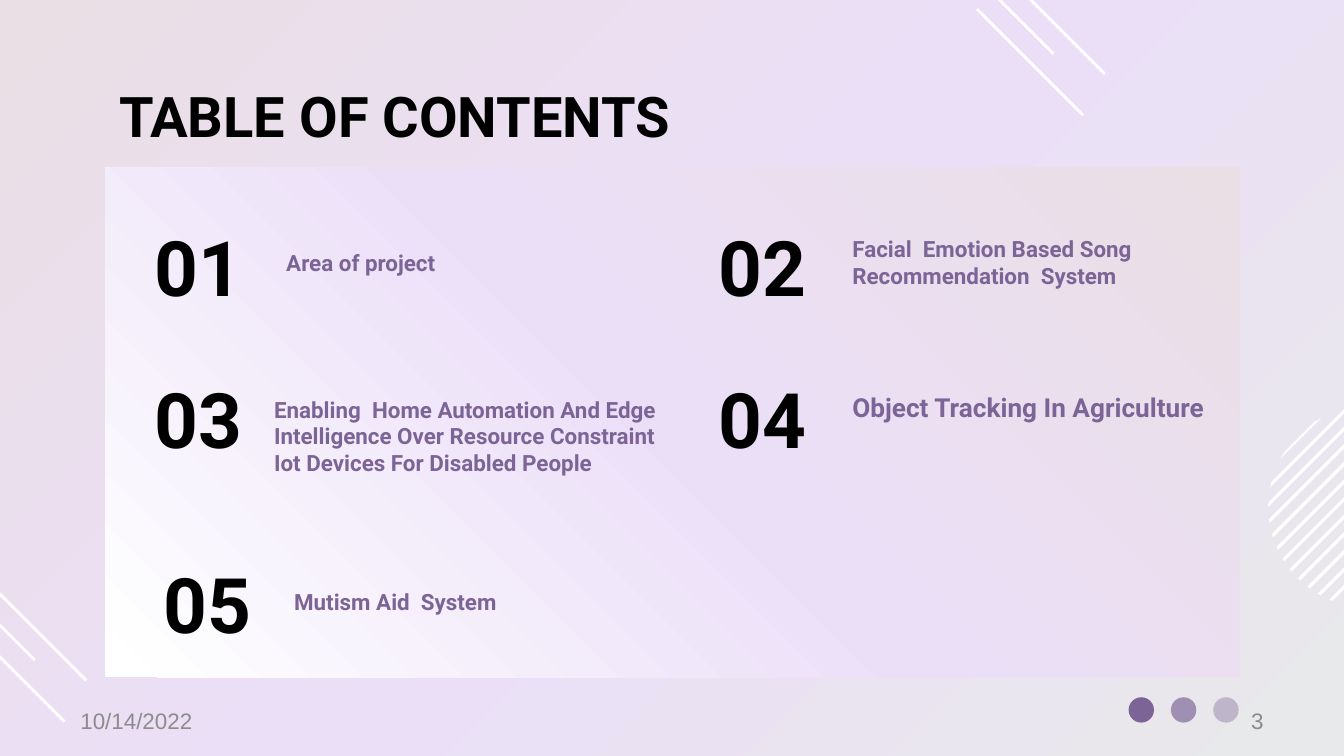
from copy import deepcopy
from math import sqrt

from lxml.etree import SubElement
from pptx import Presentation
from pptx.dml.color import RGBColor
from pptx.enum.shapes import MSO_CONNECTOR as CONNECTOR, MSO_SHAPE as SHAPE
from pptx.enum.text import MSO_ANCHOR as ANCHOR, PP_ALIGN as ALIGN
from pptx.oxml.ns import qn
from pptx.util import Cm, Pt

BLACK = RGBColor(0x00, 0x00, 0x00)
WHITE = RGBColor(0xFF, 0xFF, 0xFF)
PURPLE = RGBColor(0x7C, 0x64, 0x96)
GREY = RGBColor(0x8C, 0x8C, 0x8C)
MIST = RGBColor(0xE8, 0xE9, 0xEA)
LILAC = RGBColor(0xEB, 0xDF, 0xF8)
BLUSH = RGBColor(0xEA, 0xDF, 0xE4)

# Number, its left and top, text, its left and top, text size
CONTENTS = [
    ("01", 2.44, 3.88, "Area of project", 5.16, 4.46, 12),
    ("02", 13.1, 3.88, "Facial  Emotion Based Song Recommendation  System",
     15.86, 4.19, 12),
    ("03", 2.44, 6.76, "Enabling  Home Automation And Edge Intelligence Over "
     "Resource Constraint Iot Devices For Disabled People", 4.93, 7.23, 12),
    ("04", 13.1, 6.76, "Object Tracking In Agriculture", 15.86, 7.14, 14),
    ("05", 2.62, 10.26, "Mutism Aid  System", 5.31, 10.87, 12),
]


def set_all(target, values):
    for name, value in values.items():
        setattr(target, name, value)


class SlideBuilder:
    """Holds the text styles and the slide being built."""

    HEADING = {"name": "Roboto", "bold": True, "size": Pt(30)}
    NUMBER = {**HEADING, "size": Pt(41)}
    FOOTER = {"name": "Arial", "size": Pt(12)}
    WIDE_INSETS = dict.fromkeys(
        ("margin_left", "margin_top", "margin_right", "margin_bottom"), Cm(0.25))

    def __init__(self, slide):
        self.slide = slide
        self.shapes = slide.shapes

    def gradient(self, fill, element, colors, angle):
        """Spread three colours evenly; the angle runs counter-clockwise."""
        fill.gradient()
        fill.gradient_angle = angle
        stop_list = element.find(".//" + qn("a:gsLst"))
        stop_list.insert(1, deepcopy(stop_list[0]))
        for index, (stop, color) in enumerate(zip(fill.gradient_stops, colors)):
            stop.position = index / 2
            stop.color.rgb = color

    def background(self, colors, angle):
        self.gradient(self.slide.background.fill, self.slide.element, colors, angle)

    def finish(self, shape):
        shape.shadow.inherit = False
        shape.line.fill.background()

    def panel(self, left, top, width, height, colors, angle):
        shape = self.shapes.add_shape(
            SHAPE.RECTANGLE, Cm(left), Cm(top), Cm(width), Cm(height))
        self.finish(shape)
        self.gradient(shape.fill, shape.element, colors, angle)

    def dot(self, left, top, size, color, opacity):
        shape = self.shapes.add_shape(
            SHAPE.OVAL, Cm(left), Cm(top), Cm(size), Cm(size))
        self.finish(shape)
        shape.fill.solid()
        shape.fill.fore_color.rgb = color
        if opacity < 100:
            color_element = shape.element.spPr.find(".//" + qn("a:srgbClr"))
            SubElement(color_element, qn("a:alpha"), val=str(opacity * 1000))

    def polygon(self, points, color):
        corners = [(Cm(x), Cm(y)) for x, y in points]
        builder = self.shapes.build_freeform(*corners[0])
        builder.add_line_segments(corners[1:], close=True)
        shape = builder.convert_to_shape()
        self.finish(shape)
        shape.fill.solid()
        shape.fill.fore_color.rgb = color

    def striped_disc(self, center_x, center_y, radius, count, first, step):
        """Cut a disc into diagonal stripes; first and step are distances
        measured square to the stripes, from the disc's centre."""

        def chord(distance):
            half = sqrt(radius ** 2 - distance ** 2)
            return [(center_x + (distance + side * half) / sqrt(2),
                     center_y + (distance - side * half) / sqrt(2))
                    for side in (1, -1)]

        for index in range(count):
            middle = first + index * step
            half_width = min(0.03, 0.02 + 0.01 * index)
            self.polygon(chord(middle - half_width)
                         + chord(middle + half_width)[::-1], WHITE)

    def diagonal_lines(self, left, top, length=2.01):
        for x, y in ((0, 0), (-0.97, -0.38), (-0.41, 0.78)):
            line = self.shapes.add_connector(
                CONNECTOR.STRAIGHT, Cm(left + x), Cm(top + y),
                Cm(left + x + length), Cm(top + y + length))
            line.line.color.rgb = WHITE
            line.line.width = Pt(1.5)
            SubElement(line.element.spPr, qn("a:effectLst"))

    def text(self, text, left, top, width, height, font, color,
             align=ALIGN.LEFT, anchor=ANCHOR.TOP, insets=WIDE_INSETS):
        box = self.shapes.add_textbox(Cm(left), Cm(top), Cm(width), Cm(height))
        frame = box.text_frame
        set_all(frame, {"word_wrap": True, "vertical_anchor": anchor, **insets})
        paragraph = frame.paragraphs[0]
        paragraph.alignment = align
        run = paragraph.add_run()
        run.text = text
        set_all(run.font, font)
        run.font.color.rgb = color

    def entry(self, number, left, top, text, text_left, text_top, size):
        self.text(text, text_left, text_top, 8.03, 1.12,
                  {**self.HEADING, "size": Pt(size)}, PURPLE)
        self.text(number, left, top, 2.62, 2.26, self.NUMBER, BLACK,
                  ALIGN.CENTER, ANCHOR.BOTTOM)

    def footer(self, text, left, align):
        self.text(text, left, 13.25, 5.92, 0.76, self.FOOTER, GREY,
                  align, ANCHOR.MIDDLE, insets={})


def main():
    presentation = Presentation()
    presentation.slide_width = Cm(25.4)
    presentation.slide_height = Cm(14.29)
    slide = presentation.slides.add_slide(presentation.slide_layouts[6])
    builder = SlideBuilder(slide)

    builder.background((MIST, LILAC, BLUSH), 135)
    builder.panel(1.99, 3.17, 21.44, 9.63, (WHITE, LILAC, BLUSH), 45)
    builder.striped_disc(25.88, 9.58, 1.91, count=12, first=-1.85, step=0.235)
    for index, opacity in enumerate((100, 67, 38)):
        builder.dot(21.33 + 0.8 * index, 13.18, 0.48, PURPLE, opacity)
    builder.diagonal_lines(-0.38, 10.85)
    builder.diagonal_lines(18.87, -0.61)

    builder.text("TABLE OF CONTENTS", 2, 1.3, 21.41, 1.57,
                 builder.HEADING, BLACK)
    for entry in CONTENTS:
        builder.entry(*entry)
    builder.footer("10/14/2022", 1.27, ALIGN.LEFT)
    builder.footer("3", 18.21, ALIGN.RIGHT)
    presentation.save("out.pptx")


if __name__ == "__main__":
    main()
